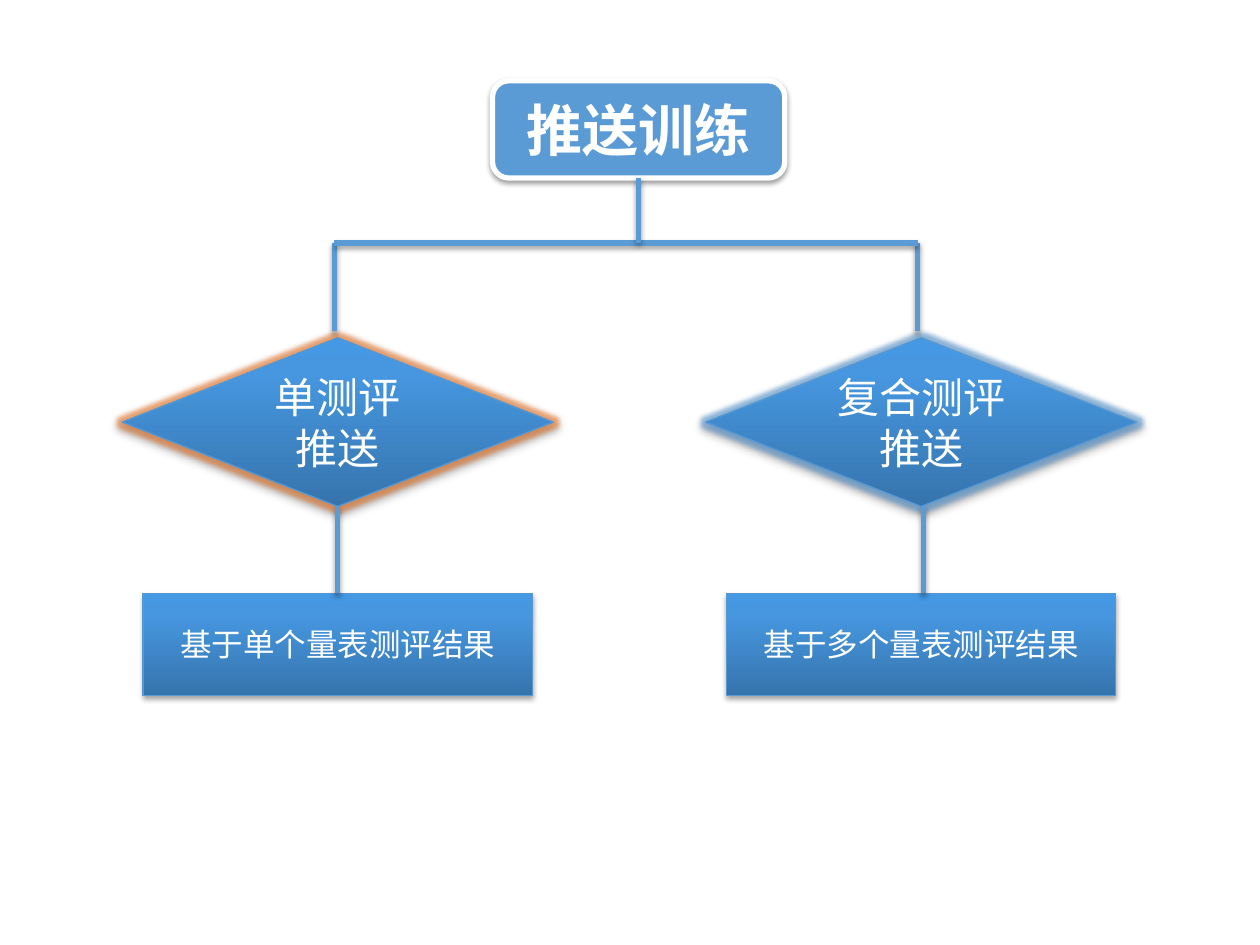
from lxml.etree import SubElement as Sub
from pptx import Presentation
from pptx.dml.color import RGBColor as RGB
from pptx.enum.shapes import MSO_CONNECTOR as CON, MSO_SHAPE as SHP
from pptx.enum.text import MSO_ANCHOR as ANC, PP_ALIGN as AL
from pptx.oxml.ns import qn
from pptx.util import Cm, Pt

# Content
ROOT = "推送训练"
BRANCHES = [
    {"test": ["单测评", "推送"], "base": "基于单个量表测评结果", "glow": "orange"},
    {"test": ["复合测评推送"], "base": "基于多个量表测评结果", "glow": "blue"},
]
HEX = {"blue": "5B9BD5", "edge": "5698D3", "orange": "ED7D31",
       "white": "FFFFFF", "black": "000000"}
STOPS = [(0, "3674AD"), (80, "4697E0"), (100, "4498E4")]
FONT = "Calibri"

# Layout in cm
MID, STEP = 6.81, 11.76      # centre of first branch, distance to the next
BAR, TOP = 4.9, 6.81         # height of the crossbar, top of the diamonds
DIA_W, DIA_H = 8.69, 3.4
BOX_W, BOX_H, BOX_Y = 7.85, 2.06, 11.96
ROOT_X, ROOT_Y, ROOT_W, ROOT_H = 9.93, 1.63, 5.89, 1.96

# Shadow: opacity %, blur pt, distance pt
SOFT, DEEP, LOW = (38, 3.1, 1.6), (38, 4, 2), (35, 3.1, 1.8)


def tint(node, color, alpha=None):
    clr = Sub(node, qn("a:srgbClr"), val=color)
    if alpha:
        Sub(clr, qn("a:alpha"), val=str(alpha * 1000))


def effect(props, shade, glow=None):
    alpha, blur, dist = shade
    fx = Sub(props, qn("a:effectLst"))
    if glow:
        tint(Sub(fx, qn("a:glow"), rad=str(Pt(5))), HEX[glow], 60)
    out = Sub(fx, qn("a:outerShdw"), blurRad=str(Pt(blur)),
              dist=str(Pt(dist)), dir="5400000", rotWithShape="0")
    tint(out, HEX["black"], alpha)


def grade(shape):
    shape.fill.gradient()
    shape.fill.gradient_angle = 90
    stops = shape._element.spPr.find(".//" + qn("a:gsLst"))
    for old in list(stops):
        stops.remove(old)
    for pos, color in STOPS:
        tint(Sub(stops, qn("a:gs"), pos=str(pos * 1000)), color)


def node(kind, x, y, w, h, lines, size, shade, glow=None, root=False):
    shape = slide.shapes.add_shape(kind, Cm(x), Cm(y), Cm(w), Cm(h))
    if root:
        shape.fill.solid()
        shape.fill.fore_color.rgb = RGB.from_string(HEX["blue"])
    else:
        grade(shape)
    shape.line.color.rgb = RGB.from_string(HEX["white" if root else "edge"])
    shape.line.width = Pt(3 if root else 0.75)
    effect(shape._element.spPr, shade, glow)
    frame = shape.text_frame
    frame.word_wrap = True
    frame.vertical_anchor = ANC.MIDDLE
    for i, line in enumerate(lines):
        para = frame.add_paragraph() if i else frame.paragraphs[0]
        para.alignment = AL.CENTER
        run = para.add_run()
        run.text = line
        run.font.name, run.font.size, run.font.bold = FONT, Pt(size), root
        run.font.color.rgb = RGB.from_string(HEX["white"])


def link(x1, y1, x2, y2):
    line = slide.shapes.add_connector(CON.STRAIGHT, Cm(x1), Cm(y1), Cm(x2), Cm(y2))
    line.line.color.rgb = RGB.from_string(HEX["blue"])
    line.line.width = Pt(3)
    effect(line._element.spPr, SOFT)


deck = Presentation()
deck.slide_width, deck.slide_height = Cm(25.4), Cm(19.05)
slide = deck.slides.add_slide(deck.slide_layouts[6])

# Root
node(SHP.FLOWCHART_ALTERNATE_PROCESS, ROOT_X, ROOT_Y, ROOT_W, ROOT_H,
     [ROOT], 32, SOFT, root=True)

# Branches: diamond, box and the lines above and below
for i, part in enumerate(BRANCHES):
    mid = MID + i * STEP
    node(SHP.FLOWCHART_DECISION, mid - DIA_W / 2, TOP, DIA_W, DIA_H,
         part["test"], 24, DEEP, part["glow"])
    node(SHP.RECTANGLE, mid - BOX_W / 2, BOX_Y, BOX_W, BOX_H,
         [part["base"]], 18, LOW)
    link(mid + i * 0.05, TOP + DIA_H, mid + i * 0.05, BOX_Y)
    link(mid - 0.07, BAR, mid - 0.07, TOP - 0.13)

# Crossbar and stem
link(MID - 0.07, BAR, MID + STEP - 0.07, BAR)
stem = ROOT_X + ROOT_W / 2
link(stem, ROOT_Y + ROOT_H, stem, BAR)

deck.save("out.pptx")
